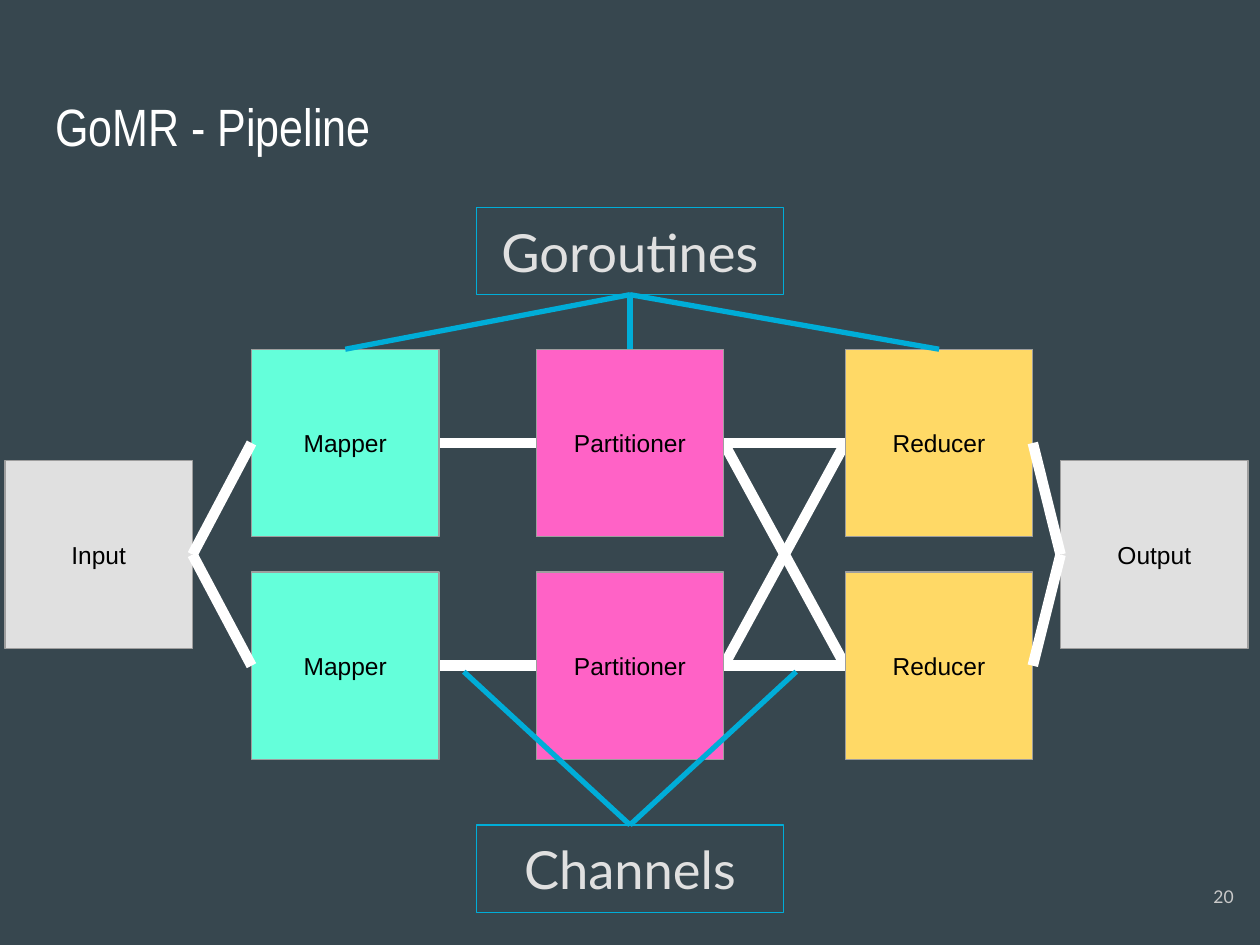
from lxml import etree
from pptx import Presentation
from pptx.dml.color import RGBColor
from pptx.enum.shapes import MSO_CONNECTOR, MSO_SHAPE
from pptx.enum.text import MSO_ANCHOR, PP_ALIGN
from pptx.oxml.ns import qn
from pptx.util import Cm, Pt

RECTANGLE, STRAIGHT = MSO_SHAPE.RECTANGLE, MSO_CONNECTOR.STRAIGHT
TOP, MIDDLE = MSO_ANCHOR.TOP, MSO_ANCHOR.MIDDLE
LEFT, CENTER, RIGHT = PP_ALIGN.LEFT, PP_ALIGN.CENTER, PP_ALIGN.RIGHT

SLATE = RGBColor(0x37, 0x47, 0x4F)
WHITE = RGBColor(0xFF, 0xFF, 0xFF)
BLACK = RGBColor(0x00, 0x00, 0x00)
CYAN = RGBColor(0x00, 0xAD, 0xD8)
PALE = RGBColor(0xE0, 0xE0, 0xE0)
SILVER = RGBColor(0xCA, 0xCA, 0xCA)
GREY = RGBColor(0x9E, 0x9E, 0x9E)
MINT = RGBColor(0x64, 0xFF, 0xDA)
PINK = RGBColor(0xFF, 0x62, 0xC6)
YELLOW = RGBColor(0xFF, 0xD9, 0x66)


def write(holder, text, font_name, size, color, align, anchor):
    frame = holder.text_frame
    frame.text = text
    margins = {f"margin_{side}": Cm(0.25) for side in ("left", "top", "right", "bottom")}
    for key, value in {**margins, "word_wrap": True, "vertical_anchor": anchor}.items():
        setattr(frame, key, value)
    paragraph = frame.paragraphs[0]
    paragraph.alignment = align
    font = paragraph.runs[0].font
    for key, value in {"name": font_name, "size": Pt(size)}.items():
        setattr(font, key, value)
    font.color.rgb = color


def link(start, end, color, width):
    connector = slide.shapes.add_connector(STRAIGHT, *(Cm(n) for n in (*start, *end)))
    connector.line.color.rgb = color
    connector.line.width = Pt(width)
    etree.SubElement(connector._element.spPr, qn("a:effectLst"))


deck = Presentation()
deck.slide_width, deck.slide_height = Cm(25.4), Cm(19.05)
slide = deck.slides.add_slide(deck.slide_layouts[5])
slide.background.fill.solid()
slide.background.fill.fore_color.rgb = SLATE

title = slide.shapes.title
title_place = {"left": 0.86, "top": 1.65, "width": 23.67, "height": 2.11}
for key, value in title_place.items():
    setattr(title, key, Cm(value))
write(title, "GoMR - Pipeline", "Arial Narrow", 30, WHITE, LEFT, TOP)

page_number = slide.shapes.add_textbox(Cm(23.6), Cm(17.35), Cm(1.52), Cm(1.45))
write(page_number, "20", "Lato", 10, SILVER, RIGHT, MIDDLE)

BOX = 3.78
UPPER, CENTRE, LOWER = 7.04, 9.29, 11.53
upper_mid, centre_mid, lower_mid = (top + BOX / 2 for top in (UPPER, CENTRE, LOWER))
row_mids = (upper_mid, lower_mid)
INPUT_X, MAPPER_X, PARTITIONER_X, REDUCER_X, OUTPUT_X = 0.1, 5.07, 10.81, 17.04, 21.38

for row_mid in row_mids:
    link((PARTITIONER_X, row_mid), (MAPPER_X + BOX, row_mid), WHITE, 6)
    for reducer_mid in row_mids:
        link((PARTITIONER_X + BOX, row_mid), (REDUCER_X, reducer_mid), WHITE, 6)

stages = [
    ("Input", INPUT_X, (CENTRE,), PALE),
    ("Mapper", MAPPER_X, (UPPER, LOWER), MINT),
    ("Partitioner", PARTITIONER_X, (UPPER, LOWER), PINK),
    ("Reducer", REDUCER_X, (UPPER, LOWER), YELLOW),
    ("Output", OUTPUT_X, (CENTRE,), PALE),
]
for label, left, tops, color in stages:
    for top in tops:
        stage = slide.shapes.add_shape(RECTANGLE, Cm(left), Cm(top), Cm(BOX), Cm(BOX))
        stage.shadow.inherit = False
        stage.fill.solid()
        stage.fill.fore_color.rgb = color
        stage.line.color.rgb = GREY
        stage.line.width = Pt(0.75)
        write(stage, label, "Arial", 14, BLACK, CENTER, MIDDLE)

for row_mid in row_mids:
    link((INPUT_X + BOX, centre_mid), (MAPPER_X, row_mid), WHITE, 6)
    link((REDUCER_X + BOX, row_mid), (OUTPUT_X, centre_mid), WHITE, 6)

CAPTION_WIDTH, CAPTION_HEIGHT = 6.18, 1.76
middle_x = 12.7
goroutines_top, channels_top = 4.18, 16.63
for caption, top in (("Goroutines", goroutines_top), ("Channels", channels_top)):
    callout = slide.shapes.add_shape(
        RECTANGLE, Cm(middle_x - CAPTION_WIDTH / 2), Cm(top),
        Cm(CAPTION_WIDTH), Cm(CAPTION_HEIGHT))
    callout.shadow.inherit = False
    callout.fill.background()
    callout.line.color.rgb = CYAN
    callout.line.width = Pt(0.75)
    write(callout, caption, "Lato", 30, PALE, CENTER, TOP)

for left in (MAPPER_X, PARTITIONER_X, REDUCER_X):
    link((middle_x, goroutines_top + CAPTION_HEIGHT), (left + BOX / 2, UPPER), CYAN, 3)
for offset in (-3.35, 3.35):
    link((middle_x, channels_top), (middle_x + offset, 13.54), CYAN, 3)

deck.save("out.pptx")
